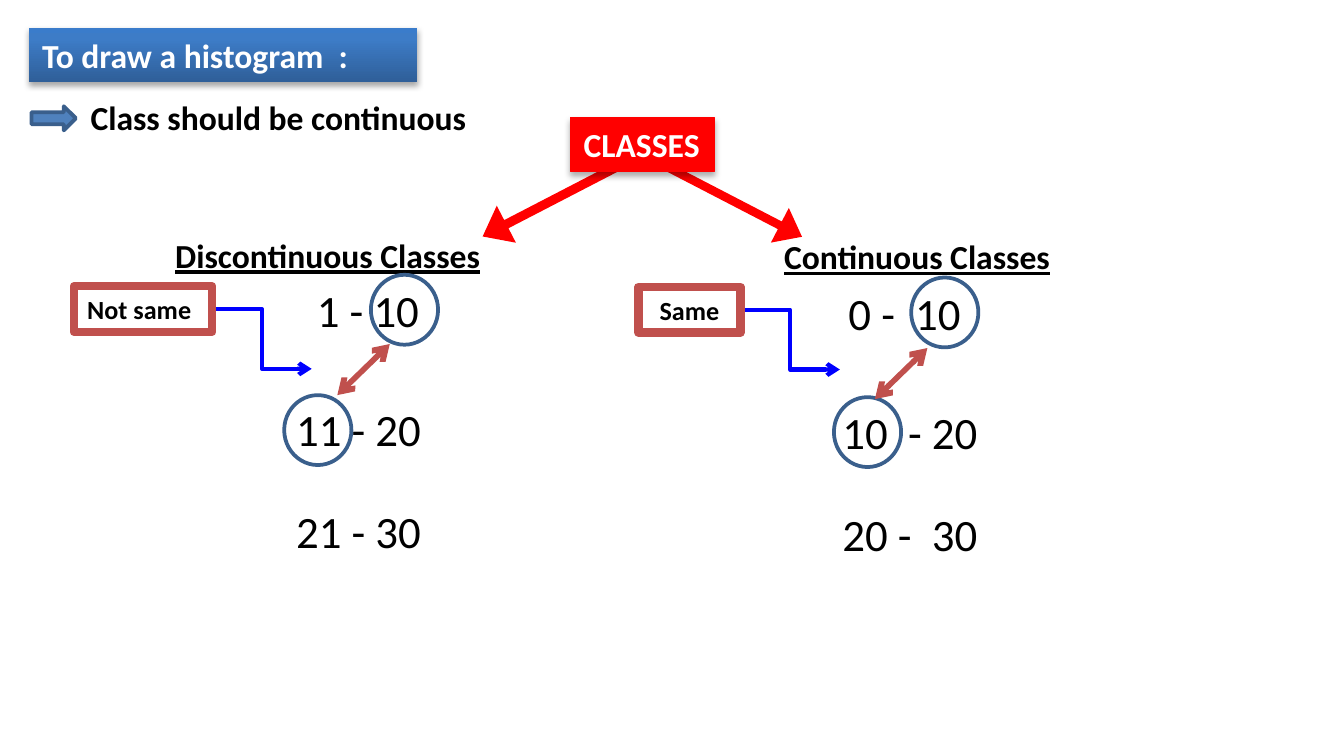
import copy

import pptx
import pptx.dml.color
import pptx.enum.shapes
import pptx.enum.text
import pptx.oxml
import pptx.oxml.ns
import pptx.util

Shape = pptx.enum.shapes.MSO_SHAPE
Connector = pptx.enum.shapes.MSO_CONNECTOR
Align = pptx.enum.text.PP_ALIGN
qn = pptx.oxml.ns.qn

# Grid of 100 columns on a 16:9 slide, with square cells
COLUMNS = 100
ROWS = COLUMNS * 9 / 16
CELL = pptx.util.Inches(0.1)
RIGHT_SIDE = 3


def cells(*counts):
    return [round(count * CELL) for count in counts]


def color(hex_string):
    return pptx.dml.color.RGBColor.from_string(hex_string)


def write(shape, text, size=18, ink="000000", bold=True, underline=False,
          align=Align.LEFT, wrap=True):
    frame = shape.text_frame
    frame.word_wrap = wrap
    paragraph = frame.paragraphs[0]
    paragraph.alignment = align
    run = paragraph.add_run()
    run.text = text
    font = run.font
    font.name, font.size = "Calibri", pptx.util.Pt(size)
    font.bold, font.underline = bold, underline
    font.color.rgb = color(ink)


class Board:
    OUTLINE = "3A5F8C"
    ACCENT = "C0504D"
    RED = "FF0000"
    BLUE = "0000FF"

    def __init__(self, deck):
        self.shapes = deck.slides.add_slide(deck.slide_layouts[6]).shapes

    def text(self, place, words, **style):
        write(self.shapes.add_textbox(*cells(*place)), words, **style)

    def shape(self, kind, place, fill=None, line=None, width=2, turn=0, adjust=()):
        item = self.shapes.add_shape(kind, *cells(*place))
        item.shadow.inherit = False
        item.rotation = turn
        for index, value in enumerate(adjust):
            item.adjustments[index] = value
        if fill:
            item.fill.solid()
            item.fill.fore_color.rgb = color(fill)
        else:
            item.fill.background()
        if line:
            item.line.color.rgb = color(line)
            item.line.width = pptx.util.Pt(width)
        else:
            item.line.fill.background()
        return item

    def gradient(self, item, stops):
        item.fill.gradient()
        item.fill.gradient_angle = 90
        stop_list = item._element.spPr.find(".//" + qn("a:gsLst"))
        while len(stop_list) < len(stops):
            stop_list.append(copy.deepcopy(stop_list[-1]))
        for stop, (position, shade) in zip(item.fill.gradient_stops, stops):
            stop.position = position
            stop.color.rgb = color(shade)

    def shadow(self, item, blur, distance, opacity):
        effects = item._element.spPr.find(qn("a:effectLst"))
        effects.append(pptx.oxml.parse_xml(
            f'<a:outerShdw {pptx.oxml.ns.nsdecls("a")} blurRad="{blur}" dist="{distance}" '
            f'dir="5400000" rotWithShape="0"><a:srgbClr val="000000">'
            f'<a:alpha val="{opacity * 1000}"/></a:srgbClr></a:outerShdw>'))

    def arrow(self, kind, start, end, ink, width, ends=("tailEnd",)):
        link = self.shapes.add_connector(kind, *cells(*start, *end))
        link.line.color.rgb = color(ink)
        link.line.width = pptx.util.Pt(width)
        outline = link.line._get_or_add_ln()
        for end_name in ends:
            outline.append(outline.makeelement(qn("a:" + end_name), {"type": "arrow"}))
        properties = link._element.spPr
        properties.append(properties.makeelement(qn("a:effectLst"), {}))
        return link

    def class_panel(self, heading, heading_place, intervals, circles, link_start,
                    verdict, verdict_place, verdict_align):
        self.text(heading_place, heading, underline=True)
        for words, left, top in intervals:
            self.text((left, top, 14, 5), words, size=24, bold=False)
        for left, top in circles:
            self.shape(Shape.OVAL, (left, top, 5, 5.2), line=self.OUTLINE)

        # Link between the neighbouring limits
        x, y = link_start
        self.arrow(Connector.STRAIGHT, (x, y), (x + 3.9, y - 3.8), self.ACCENT, 3,
                   ends=("headEnd", "tailEnd"))

        # Elbow arrow, with the verdict box in front of it
        left, top, width, height = verdict_place
        x, y = left + width, top + height / 2
        elbow = self.arrow(Connector.ELBOW, (x, y), (x + 7.4, y + 4.45), self.BLUE, 2.25)
        box = self.shape(Shape.RECTANGLE, verdict_place, line=self.ACCENT, width=4.5)
        write(box, verdict, size=14, align=verdict_align)
        elbow.begin_connect(box, RIGHT_SIDE)


def main():
    deck = pptx.Presentation()
    deck.slide_width, deck.slide_height = cells(COLUMNS, ROWS)
    board = Board(deck)

    # Title and rule
    title = board.shape(Shape.RECTANGLE, (2.15, 2.1, 28.9, 4))
    board.gradient(title, [(0, "2F5F99"), (0.8, "3D7CC7"), (1, "3A7CCB")])
    board.shadow(title, 40000, 23000, 35)
    write(title, "To draw a histogram  :", ink="FFFFFF")
    board.text((5.75, 6.7, 31.9, 4), "Class should be continuous")
    board.shape(Shape.RIGHT_ARROW, (2.35, 7.9, 3.3, 1.8), fill="4F81BD", line=board.OUTLINE)

    # Root of the tree with its two branches
    for place, turn in (((39.95, 8.4, 3.1, 12.6), 62.6), ((52.5, 8.2, 2.9, 12.9), 297.4)):
        board.shape(Shape.DOWN_ARROW, place, fill=board.RED, turn=turn,
                    adjust=(0.22, 0.64))
    root = board.shape(Shape.RECTANGLE, (42.45, 8.75, 10.7, 4), fill=board.RED,
                       line=board.RED, width=0.75)
    board.shadow(root, 44450, 27940, 32)
    write(root, "CLASSES", ink="FFFFFF", wrap=False)

    # The two kinds of classes
    board.class_panel(
        "Discontinuous Classes", (12.05, 17, 25.8, 4),
        [("1 - 10", 22.6, 20.55), ("11 - 20", 21.05, 29.4), ("21 - 30", 21.05, 37)],
        [(27.6, 20.45), (21.15, 29.4)], (25.1, 29.4),
        "Not same", (5.5, 21.3, 10.3, 3.4), Align.LEFT)
    board.class_panel(
        "Continuous Classes", (57.35, 17.1, 21.9, 4),
        [("0 -  10", 62.15, 20.8), ("10  - 20", 61.7, 29.65), ("20 -  30", 61.7, 37.2)],
        [(67.8, 20.65), (62.05, 29.55)], (65.1, 29.7),
        "Same", (47.5, 21.35, 7.6, 3.4), Align.CENTER)

    deck.save("out.pptx")


if __name__ == "__main__":
    main()
